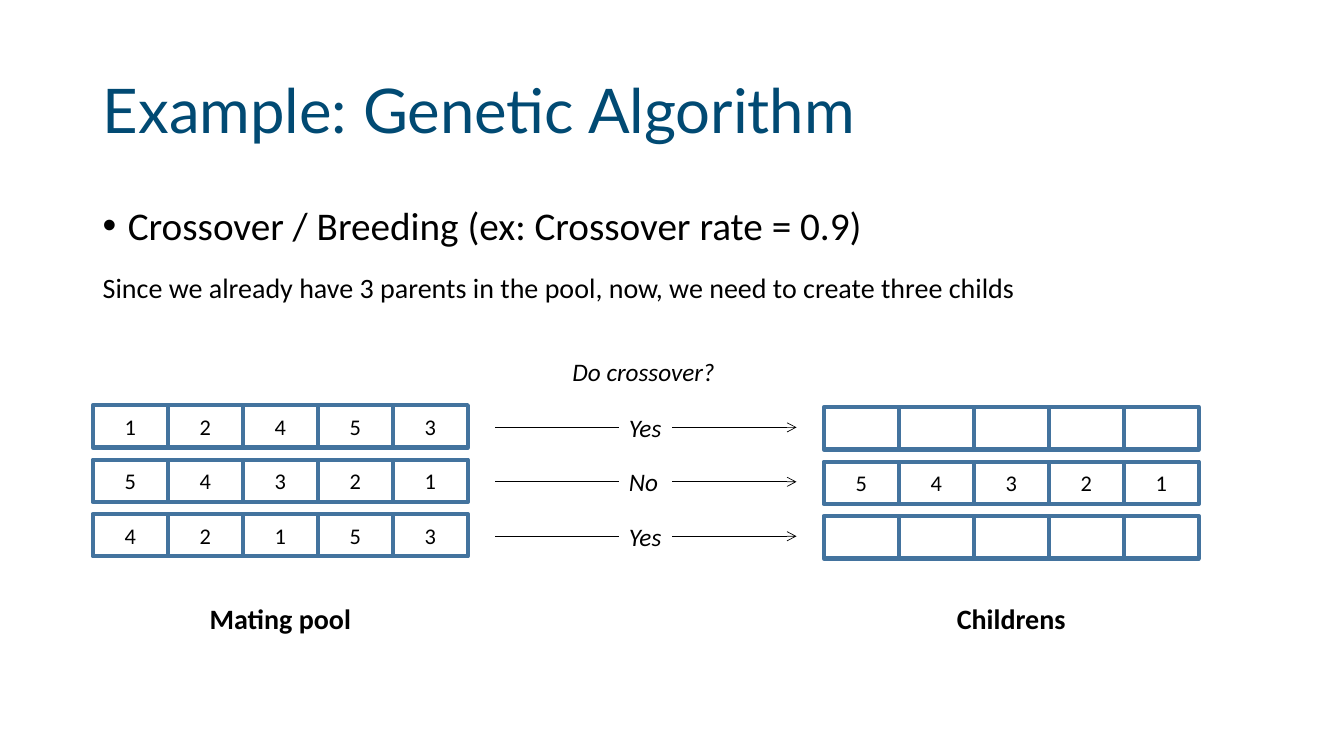
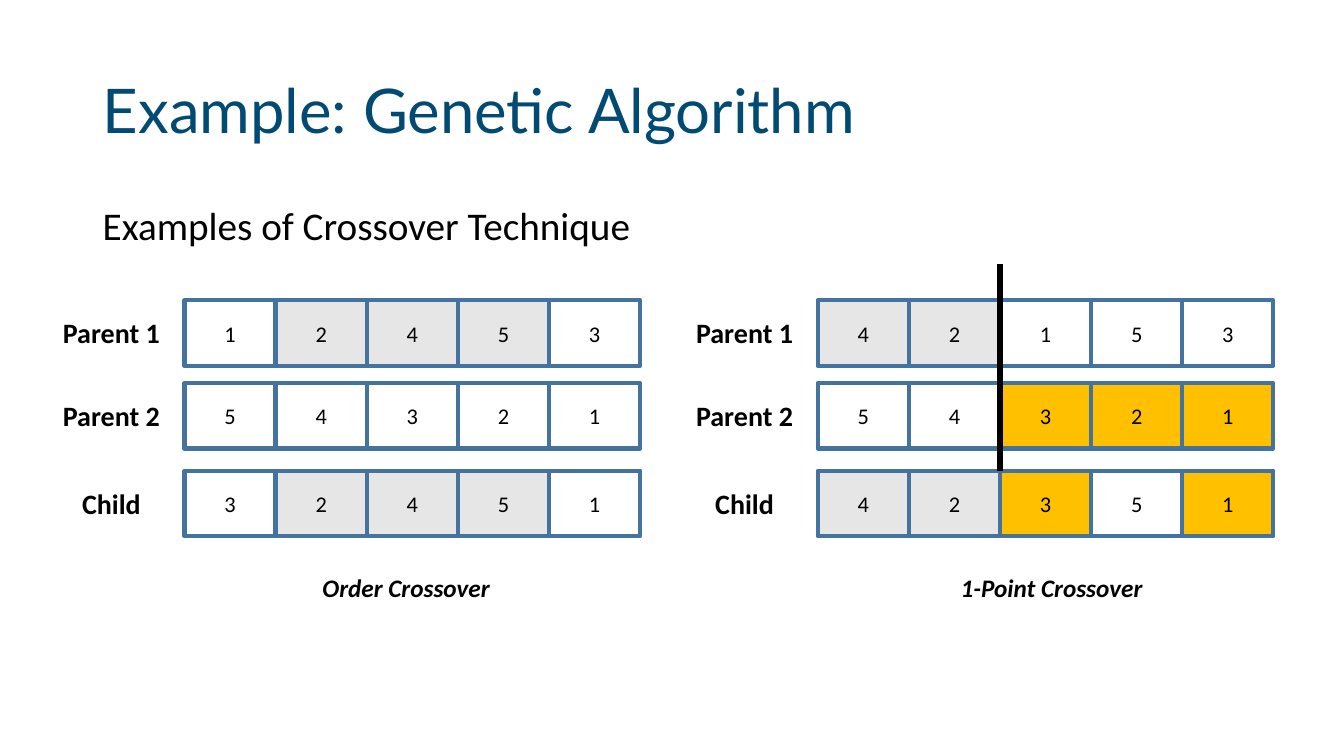
from pptx import Presentation as Deck
from pptx.dml.color import RGBColor as Rgb
from pptx.enum.shapes import MSO_CONNECTOR as Wire, MSO_SHAPE as Form
from pptx.enum.text import MSO_ANCHOR as Anchor, MSO_AUTO_SIZE as Fit, PP_ALIGN as Align
from pptx.oxml.ns import qn
from pptx.util import Inches, Pt
from lxml.etree import SubElement as Sub

HUES = {"title": "014A73", "text": "000000", "edge": "43739E",
        "w": "FFFFFF", "g": "E7E6E6", "y": "FFC000"}

# Text formats
TITLE = {"name": "Lato", "size": Pt(44)}
BODY = {"name": "Calibri", "size": Pt(28)}
NOTE = {**BODY, "size": Pt(20)}
BOLD = {**NOTE, "bold": True}
CELL = {**BODY, "size": Pt(16)}
ASIDE = {**BODY, "size": Pt(18), "italic": True}
NAME = {**ASIDE, "bold": True}

COLS = 5


def hue(key):
    return Rgb.from_string(HUES[key])


def write(frame, text, style, align=Align.LEFT, color="text"):
    """Fill a text frame with one formatted paragraph."""
    para = frame.paragraphs[0]
    para.alignment = align
    run = para.add_run()
    run.text = text
    for key, value in style.items():
        setattr(run.font, key, value)
    run.font.color.rgb = hue(color)
    return para


def place(shape, *box):
    for key, value in zip(("left", "top", "width", "height"), box):
        setattr(shape, key, Inches(value))


def label(slide, text, box, style, align=Align.LEFT):
    shape = slide.shapes.add_textbox(*map(Inches, box))
    shape.text_frame.word_wrap = False
    write(shape.text_frame, text, style, align)
    return shape


def start(deck, lead, bullet=False):
    """Add a slide with the shared title and a lead line."""
    slide = deck.slides.add_slide(deck.slide_layouts[5])
    title = slide.shapes.title
    place(title, 0.92, 0.4, 11.5, 1.45)
    frame = title.text_frame
    frame.auto_size = Fit.NONE
    frame.vertical_anchor = Anchor.MIDDLE
    write(frame, "Example: Genetic Algorithm", TITLE, color="title").line_spacing = 0.9

    body = slide.shapes.add_textbox(*map(Inches, (0.92, 2, 11.5, 0.6)))
    body.text_frame.word_wrap = True
    para = write(body.text_frame, lead, BODY)
    para.line_spacing = 0.9
    para.space_before = Pt(10)
    if bullet:
        props = para._p.get_or_add_pPr()
        props.set("marL", str(Inches(0.25)))
        props.set("indent", str(Inches(-0.25)))
        Sub(props, qn("a:buFont"), typeface="Arial")
        Sub(props, qn("a:buChar"), char="•")
    return slide


def cells(slide, left, top, width, height, genes, fills="w" * COLS):
    """Draw one row of gene cells as a group."""
    group = slide.shapes.add_group_shape()
    pitch = width / COLS
    for col, (gene, fill) in enumerate(zip(genes.ljust(COLS), fills)):
        box = (left + col * pitch, top, pitch, height)
        cell = group.shapes.add_shape(Form.RECTANGLE, *map(Inches, box))
        cell.shadow.inherit = False
        cell.fill.solid()
        cell.fill.fore_color.rgb = hue(fill)
        cell.line.color.rgb = hue("edge")
        cell.line.width = Pt(3)
        cell.text_frame.vertical_anchor = Anchor.MIDDLE
        if gene.strip():
            write(cell.text_frame, gene, CELL, Align.CENTER)


def rule(slide, ends, weight, arrow=False):
    wire = slide.shapes.add_connector(Wire.STRAIGHT, *map(Inches, ends))
    wire.line.color.rgb = hue("text")
    wire.line.width = Pt(weight)
    if arrow:
        Sub(wire.line._get_or_add_ln(), qn("a:tailEnd"), type="arrow")
    Sub(wire._element.spPr, qn("a:effectLst"))
    return wire


def pool(deck):
    """Mating pool, crossover choice and children."""
    slide = start(deck, "Crossover / Breeding (ex: Crossover rate = 0.9)", True)
    label(slide, "Since we already have 3 parents in the pool, now, "
          "we need to create three childs", (0.92, 2.63, 9.33, 0.44), NOTE)
    label(slide, "Do crossover?", (5.58, 3.49, 1.64, 0.4), ASIDE)

    width, high, step = 3.72, 0.42, 0.54
    rows = (("12453", "Yes", ""), ("54321", "No", "54321"), ("42153", "Yes", ""))
    for row, (genes, choice, child) in enumerate(rows):
        drop = row * step
        mid = 4.24 + drop
        cells(slide, 0.92, 4.02 + drop, width, high, genes)
        cells(slide, 8.17, 4.04 + drop, width, high, child)
        word = label(slide, choice, (6.14, 4.04 + drop, 0.53, 0.4), ASIDE)
        rule(slide, (4.91, mid, 6.14, mid), 0.5).end_connect(word, 1)
        rule(slide, (6.67, mid, 7.9, mid), 0.5, True).begin_connect(word, 3)

    for left, text in ((0.92, "Mating pool"), (8.17, "Childrens")):
        label(slide, text, (left, 5.92, width, 0.44), BOLD, Align.CENTER)


def cross(deck):
    """Two crossover methods side by side."""
    slide = start(deck, "Examples of Crossover Technique")
    width, high = 4.52, 0.65
    rows = (("Parent 1", 2.98), ("Parent 2", 3.8), ("Child", 4.67))
    plans = (
        (1.83, "Order Crossover", (3.1, 5.63, 1.89, 0.4),
         (("12453", "wgggw"), ("54321", "wwwww"), ("32451", "wgggw"))),
        (8.11, "1-Point Crossover", (9.43, 5.63, 2.03, 0.4),
         (("42153", "ggwww"), ("54321", "wwyyy"), ("42351", "ggywy"))),
    )
    for left, name, box, genes in plans:
        for (text, top), (row, fills) in zip(rows, genes):
            cells(slide, left, top, width, high, row, fills)
            label(slide, text, (left - 1.31, top + (high - 0.44) / 2, 1.17, 0.44),
                  BOLD, Align.CENTER)
        label(slide, name, box, NAME)

    # Cut after the second gene
    cut = plans[1][0] + 2 * width / COLS
    rule(slide, (cut, 2.62, cut, 4.67), 4.5)


def main():
    deck = Deck()
    deck.slide_width, deck.slide_height = Inches(13.33), Inches(7.5)
    pool(deck)
    cross(deck)
    deck.save("out.pptx")


if __name__ == "__main__":
    main()
